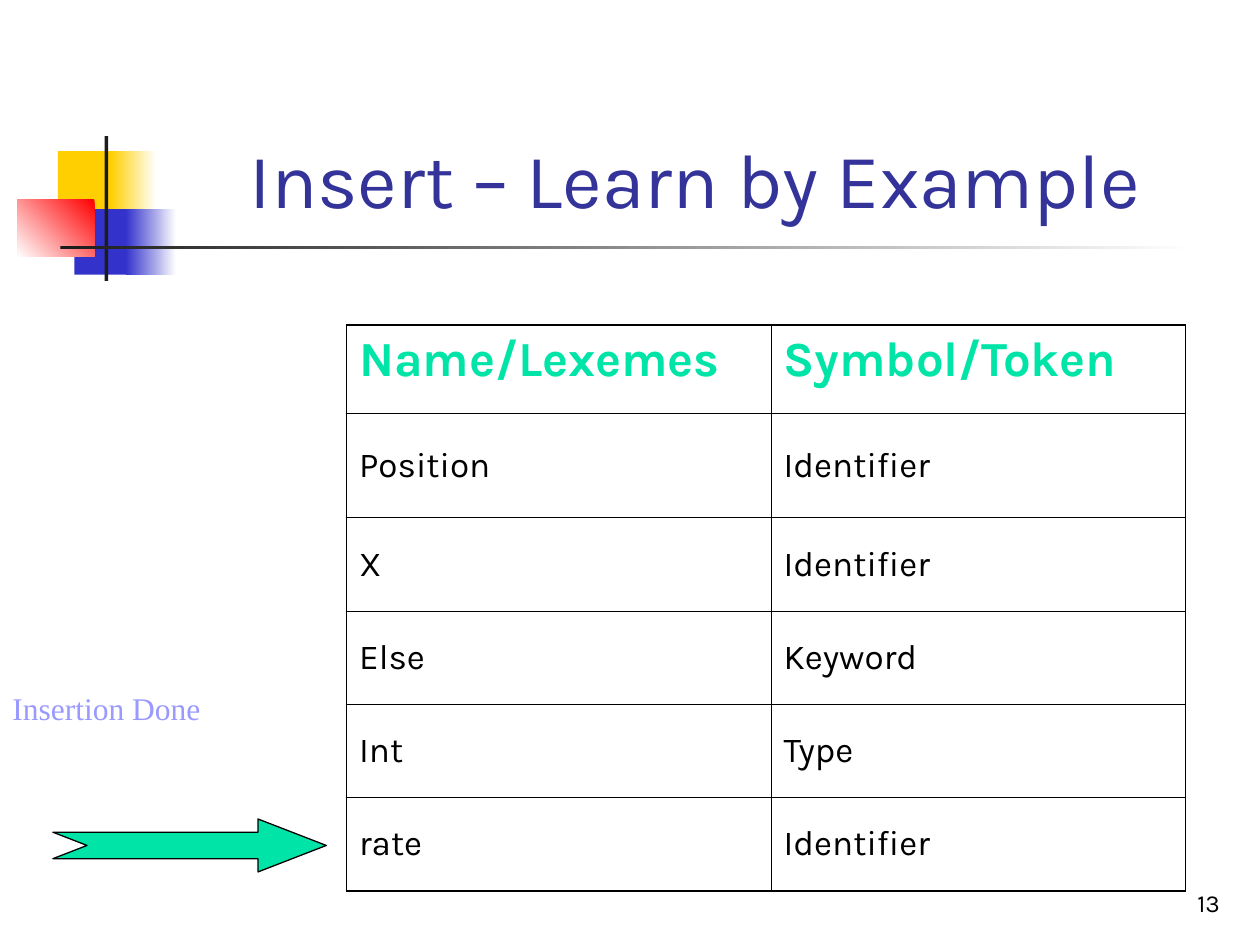
from pptx import Presentation
from pptx.dml.color import RGBColor
from pptx.enum.shapes import MSO_SHAPE as Shape
from pptx.enum.text import MSO_ANCHOR as Anchor, MSO_AUTO_SIZE as Fit, PP_ALIGN as Align
from pptx.oxml import parse_xml
from pptx.oxml.ns import nsdecls
from pptx.util import Inches, Pt

COLORS = {
    "white": "FFFFFF", "black": "000000", "ink": "1C1C1C", "navy": "333399",
    "gold": "FFCF01", "blue": "3333CC", "red": "FF0000",
    "mint": "00E4A8", "lilac": "9999FF",
}
SANS, SERIF = "Karla", "Times New Roman"

# left, top, width, height, colour, angle of the fade to white (None: solid)
DECOR = [
    (0.46, 1.2, 0.48, 0.52, "gold", None),
    (0.88, 1.2, 0.36, 0.52, "gold", 0),
    (0.59, 1.66, 0.46, 0.52, "blue", None),
    (1, 1.66, 0.4, 0.52, "blue", 0),
    (0.14, 1.58, 0.61, 0.46, "red", 225),
    (0.83, 1.08, 0.03, 1.15, "ink", None),
    (0.48, 1.95, 9, 0.03, "ink", 0),
]
ROWS = [
    ("Name/Lexemes", "Symbol/Token"),
    ("Position", "Identifier"),
    ("X", "Identifier"),
    ("Else", "Keyword"),
    ("Int", "Type"),
    ("rate", "Identifier"),
]
WIDTHS = [3.37, 3.29]
HEIGHTS = [0.7, 0.83] + [0.74] * 4
THICK, THIN = 1.08, 0.45


def rgb(name):
    return RGBColor.from_string(COLORS[name])


def write(frame, text, size=20, font=SANS, color="black", bold=False, align=Align.LEFT):
    para = frame.paragraphs[0]
    para.alignment = align
    run = para.add_run()
    run.text = text
    face = run.font
    face.size, face.name, face.bold = Pt(size), font, bold
    face.color.rgb = rgb(color)


def add_block(slide, kind, box, color, angle=None):
    block = slide.shapes.add_shape(kind, *map(Inches, box))
    block.shadow.inherit = False
    block.line.fill.background()
    if angle is None:
        block.fill.solid()
        block.fill.fore_color.rgb = rgb(color)
    else:
        block.fill.gradient()
        block.fill.gradient_angle = angle
        for stop, name in zip(block.fill.gradient_stops, (color, "white")):
            stop.color.rgb = rgb(name)
    return block


def add_label(slide, box, text, wrap=True, anchor=Anchor.TOP, **style):
    frame = slide.shapes.add_textbox(*map(Inches, box)).text_frame
    frame.word_wrap = wrap
    frame.vertical_anchor = anchor
    write(frame, text, **style)


def set_edges(cell, outer):
    """Draw the cell's borders, thick on the sides named in outer."""
    props = cell._tc.get_or_add_tcPr()
    for spot, side in enumerate("LRTB"):
        width = Pt(THICK if side in outer else THIN)
        props.insert(spot, parse_xml(
            f'<a:ln{side} {nsdecls("a")} w="{width}"><a:solidFill>'
            f'<a:srgbClr val="{COLORS["black"]}"/></a:solidFill></a:ln{side}>'))


def add_grid(slide, left, top):
    size = map(Inches, (left, top, sum(WIDTHS), sum(HEIGHTS)))
    table = slide.shapes.add_table(len(ROWS), len(WIDTHS), *size).table
    table.first_row = table.horz_banding = False
    for col, width in zip(table.columns, WIDTHS):
        col.width = Inches(width)
    for r, (words, height) in enumerate(zip(ROWS, HEIGHTS)):
        table.rows[r].height = Inches(height)
        for c, word in enumerate(words):
            cell = table.cell(r, c)
            cell.fill.background()
            outer = "R" if c else "L"
            outer += {0: "T", len(ROWS) - 1: "B"}.get(r, "")
            set_edges(cell, outer)
            if r == 0:
                write(cell.text_frame, word, size=28, color="mint", bold=True)
            else:
                cell.vertical_anchor = Anchor.MIDDLE
                write(cell.text_frame, word)


def main():
    deck = Presentation()
    deck.slide_width, deck.slide_height = Inches(10), Inches(7.5)
    slide = deck.slides.add_slide(deck.slide_layouts[5])

    for *box, color, angle in DECOR:
        add_block(slide, Shape.RECTANGLE, box, color, angle)

    title = slide.shapes.title
    title.left, title.top, title.width, title.height = map(Inches, (1.26, 0.23, 8.52, 1.6))
    title.text_frame.auto_size = Fit.NONE
    title.text_frame.vertical_anchor = Anchor.BOTTOM
    write(title.text_frame, "Insert – Learn by Example", size=44, color="navy",
          align=Align.CENTER)

    add_grid(slide, 2.75, 2.58)

    arrow = add_block(slide, Shape.NOTCHED_RIGHT_ARROW, (0.42, 6.5, 2.17, 0.42), "mint")
    arrow.adjustments[0], arrow.adjustments[1] = 0.5, 1.29
    arrow.line.color.rgb = rgb("black")
    arrow.line.width = Pt(0.75)

    add_label(slide, (0, 5.42, 2.42, 0.83), "Insertion Done", wrap=False,
              size=18, font=SERIF, color="lilac")
    add_label(slide, (7.7, 6.83, 2.08, 0.5), "13", anchor=Anchor.BOTTOM,
              size=14, align=Align.RIGHT)
    deck.save("out.pptx")


if __name__ == "__main__":
    main()
